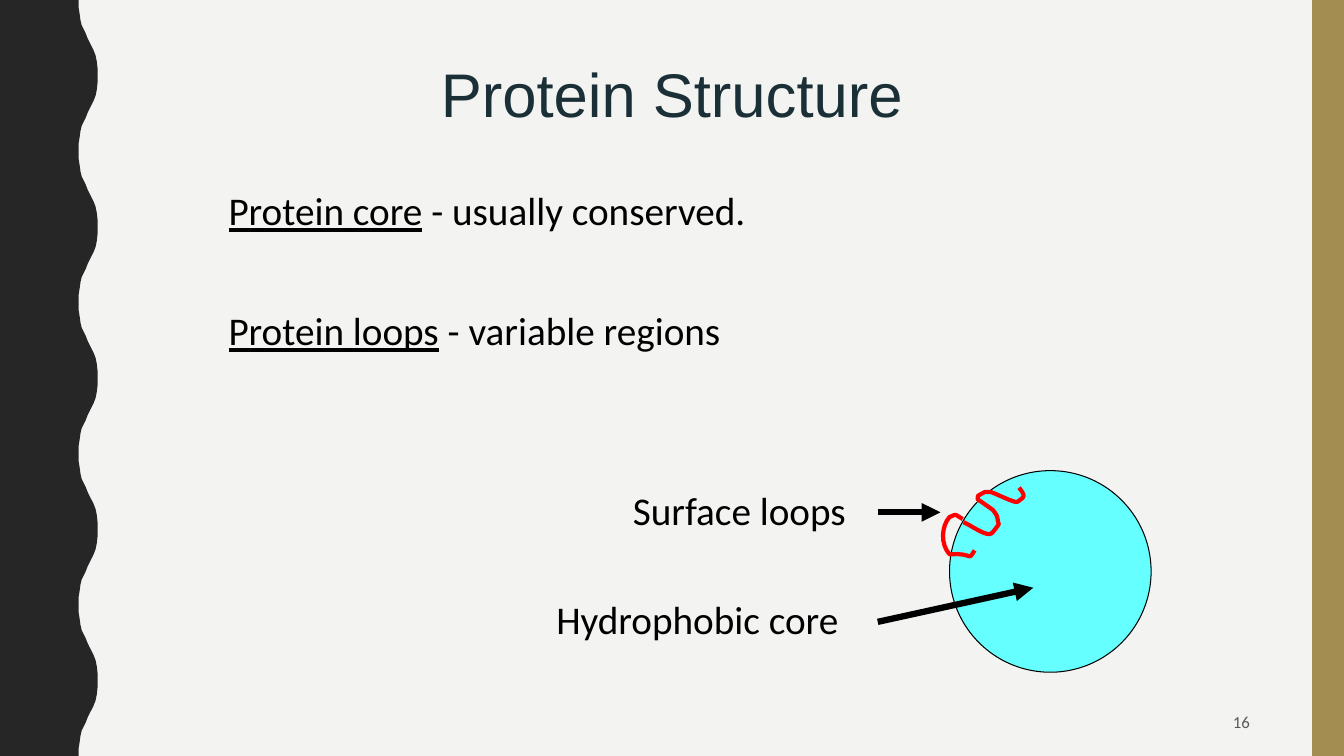
"""Build the protein structure slide with its core and loop sketch."""
from dataclasses import dataclass

from lxml import etree
from pptx import Presentation
from pptx.dml.color import RGBColor
from pptx.enum.shapes import MSO_CONNECTOR, MSO_SHAPE
from pptx.enum.text import MSO_ANCHOR, PP_ALIGN
from pptx.oxml.ns import qn
from pptx.util import Cm, Pt

LEFT, CENTER, RIGHT = PP_ALIGN.LEFT, PP_ALIGN.CENTER, PP_ALIGN.RIGHT
TOP, MIDDLE = MSO_ANCHOR.TOP, MSO_ANCHOR.MIDDLE
RECT, OVAL = MSO_SHAPE.RECTANGLE, MSO_SHAPE.OVAL
STRAIGHT = MSO_CONNECTOR.STRAIGHT

WIDE, HIGH = 33.87, 19.05
COLORS = {
    "paper": "F3F3F2", "wave": "262626", "band": "A38D51", "core": "66FFFF",
    "loop": "FF0000", "ink": "000000", "title": "1B2F36", "page": "595959",
}
STYLES = {
    "title": {"name": "Arial", "size": Pt(44)},
    "body": {"name": "Calibri", "size": Pt(28)},
    "page": {"name": "Calibri", "size": Pt(12)},
}

Point = tuple[float, float]
Box = tuple[float, float, float, float]


@dataclass
class Label:
    box: Box
    lines: list[list[str]]
    style: str = "body"
    color: str = "ink"
    align: int = LEFT
    anchor: int = TOP
    pitch: float = 1.0
    gap: float = 0


@dataclass
class Arrow:
    start: Point
    end: Point


@dataclass
class Solid:
    kind: int
    box: Box
    fill: str
    line: str | None = None


@dataclass
class Loop:
    start: Point
    curves: list[tuple[Point, Point, Point]]
    fill: str | None = None


LABELS = [
    Label((5.51, 0.76, 22.86, 3.18), [["Protein Structure"]], "title", "title", CENTER, MIDDLE),
    Label((5.51, 4.34, 13.97, 4.67),
          [["Protein core", " - usually conserved."],
           ["Protein loops", " - variable regions"]], pitch=1.2, gap=45.5),
    Label((15.7, 12.14, 5.94, 1.45), [["Surface loops"]]),
    Label((13.77, 14.88, 7.92, 1.45), [["Hydrophobic core"]]),
    Label((23.93, 17.7, 7.82, 0.97), [["16"]], "page", "page", RIGHT, MIDDLE),
]
ARROWS = [Arrow((22.12, 15.67), (26.04, 14.81)), Arrow((22.12, 12.91), (23.7, 12.91))]
BAND = Solid(RECT, (33.07, 0, 0.8, HIGH), "band")
CORE = Solid(OVAL, (23.93, 11.86, 5.08, 5.08), "core", "ink")
LOOPS = [
    Loop((25.68, 12.29), [
        ((25.83, 12.47), (25.83, 12.52), (25.7, 12.6)),
        ((25.68, 12.62), (25.65, 12.65), (25.6, 12.65)),
        ((25.45, 12.62), (25.12, 12.45), (24.97, 12.4)),
        ((24.92, 12.4), (24.87, 12.4), (24.82, 12.4)),
        ((24.77, 12.42), (24.64, 12.5), (24.64, 12.5)),
        ((24.66, 12.52), (24.61, 12.55), (24.66, 12.6)),
        ((24.77, 12.67), (25.02, 12.85), (25.02, 12.85)),
        ((25.17, 13.03), (25.12, 13.06), (25.17, 13.21)),
        ((25.12, 13.28), (25.07, 13.36), (24.99, 13.44)),
        ((24.87, 13.54), (24.46, 13.23), (24.28, 13.16)),
    ], "core"),
    Loop((24.26, 13.08), [
        ((24.03, 12.95), (24.13, 12.95), (23.93, 13.03)),
        ((23.72, 13.26), (23.7, 13.72), (23.93, 13.97)),
        ((24.54, 13.92), (24.38, 14.17), (24.56, 13.87)),
    ]),
]
PERIOD = 3.81
HALF = [(1.98, 0), (1.98, 0.18), (2.01, 0.36), (2.03, 0.51), (2.06, 0.64),
        (2.11, 0.74), (2.16, 0.84), (2.21, 0.97), (2.26, 1.07), (2.31, 1.17),
        (2.36, 1.27), (2.41, 1.4), (2.44, 1.55), (2.46, 1.73), (2.46, 1.91)]


def tint(name: str) -> RGBColor:
    """Return a named colour."""
    return RGBColor.from_string(COLORS[name])


def paint(shape, fill: str | None, line: str | None, width: float = 0.75) -> None:
    """Set the fill and line of a shape."""
    shape.shadow.inherit = False
    if fill:
        shape.fill.solid()
        shape.fill.fore_color.rgb = tint(fill)
    else:
        shape.fill.background()
    if line:
        shape.line.color.rgb = tint(line)
        shape.line.width = Pt(width)
    else:
        shape.line.fill.background()


def trace(slide, points: list[Point], close: bool):
    """Draw an outline through the points."""
    spots = [(Cm(x), Cm(y)) for x, y in points]
    pen = slide.shapes.build_freeform(*spots[0])
    pen.add_line_segments(spots[1:], close=close)
    return pen.convert_to_shape()


def draw_wave(slide) -> None:
    """Draw the dark wavy edge."""
    cycle = HALF + [(x, PERIOD - y) for x, y in HALF[-2:0:-1]]
    edge = [(x, y + n * PERIOD) for n in range(5) for x, y in cycle]
    paint(trace(slide, [(0, 0), *edge, (HALF[0][0], HIGH), (0, HIGH)], True), "wave", None)


def draw_solid(slide, item: Solid) -> None:
    """Draw a preset shape."""
    shape = slide.shapes.add_shape(item.kind, *map(Cm, item.box))
    paint(shape, item.fill, item.line)


def draw_loop(slide, loop: Loop, steps: int = 8) -> None:
    """Draw a chain of cubic curves as a fine outline."""
    points = [loop.start]
    for curve in loop.curves:
        knots = (points[-1], *curve)
        for step in range(1, steps + 1):
            t = step / steps
            parts = ((1 - t) ** 3, 3 * t * (1 - t) ** 2, 3 * t * t * (1 - t), t ** 3)
            points.append(tuple(sum(w * k[axis] for w, k in zip(parts, knots))
                                for axis in (0, 1)))
    paint(trace(slide, points, False), loop.fill, "loop", 3)


def draw_arrow(slide, arrow: Arrow) -> None:
    """Draw a thick line with a triangle at its end."""
    line = slide.shapes.add_connector(STRAIGHT, *map(Cm, arrow.start + arrow.end))
    line.line.color.rgb = tint("ink")
    line.line.width = Pt(4.5)
    etree.SubElement(line.line._get_or_add_ln(), qn("a:tailEnd"), type="triangle")
    etree.SubElement(line._element.spPr, qn("a:effectLst"))


def draw_label(slide, label: Label) -> None:
    """Write a text box, underlining the lead of each split line."""
    frame = slide.shapes.add_textbox(*map(Cm, label.box)).text_frame
    frame.word_wrap = True
    frame.vertical_anchor = label.anchor
    for row, texts in enumerate(label.lines):
        para = frame.add_paragraph() if row else frame.paragraphs[0]
        para.alignment = label.align
        para.line_spacing = label.pitch
        if row:
            para.space_before = Pt(label.gap)
        for spot, text in enumerate(texts):
            run = para.add_run()
            run.text = text
            lead = spot < len(texts) - 1
            for key, value in {**STYLES[label.style], "underline": lead}.items():
                setattr(run.font, key, value)
            run.font.color.rgb = tint(label.color)


def main() -> None:
    """Build and save the slide."""
    deck = Presentation()
    deck.slide_width, deck.slide_height = Cm(WIDE), Cm(HIGH)
    slide = deck.slides.add_slide(deck.slide_layouts[6])
    slide.background.fill.solid()
    slide.background.fill.fore_color.rgb = tint("paper")
    draw_wave(slide)
    for item in (BAND, CORE):
        draw_solid(slide, item)
    for loop in LOOPS:
        draw_loop(slide, loop)
    for arrow in ARROWS:
        draw_arrow(slide, arrow)
    for label in LABELS:
        draw_label(slide, label)
    deck.save("out.pptx")


if __name__ == "__main__":
    main()
